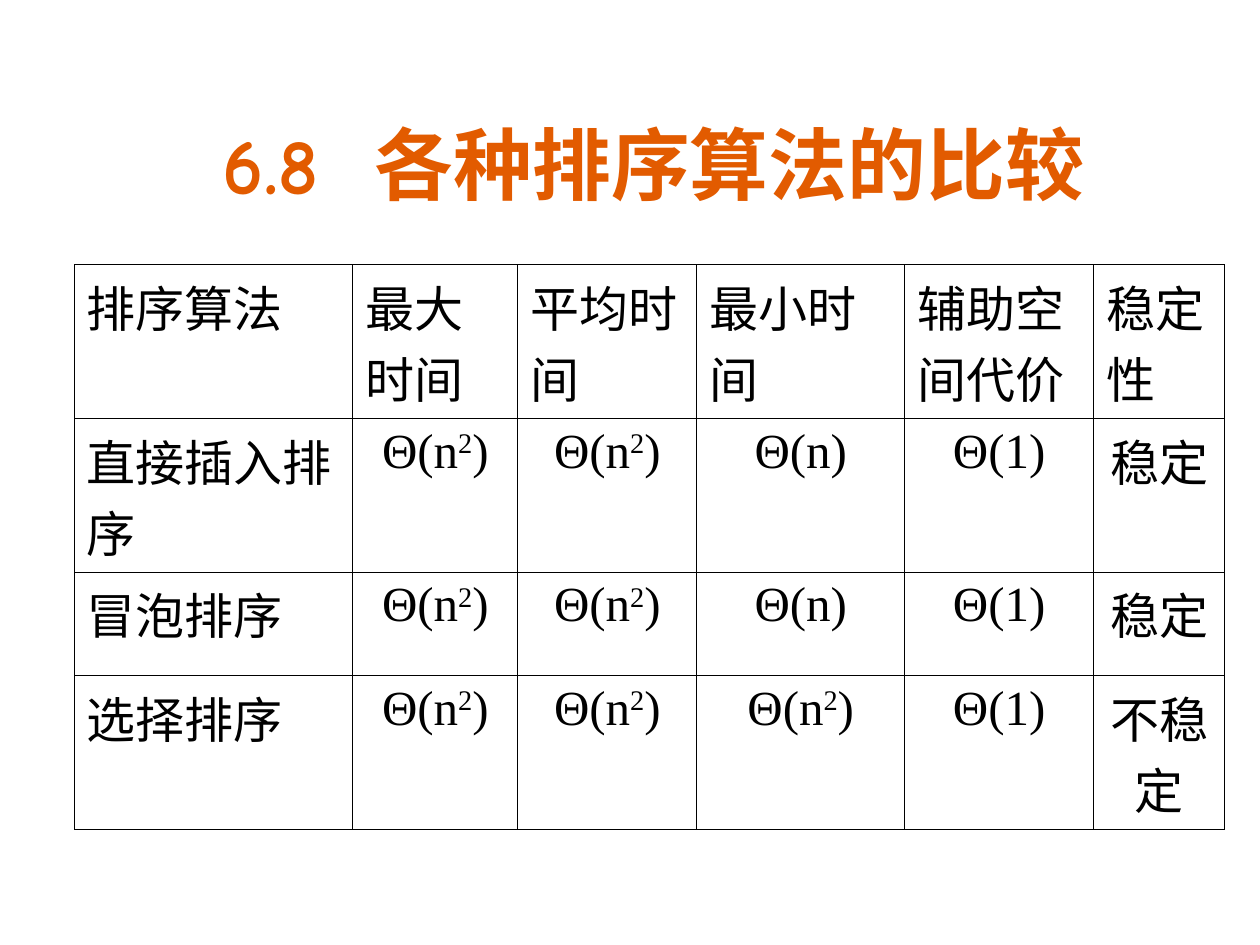
"""Build a slide with a table comparing sorting algorithms."""
from lxml import etree
from pptx import Presentation
from pptx.dml.color import RGBColor
from pptx.enum.text import MSO_ANCHOR, PP_ALIGN
from pptx.oxml.ns import qn
from pptx.util import Inches, Pt

LEFT, CENTER = PP_ALIGN.LEFT, PP_ALIGN.CENTER
BOTTOM = MSO_ANCHOR.BOTTOM
COLUMN_WIDTHS = [2.21, 1.31, 1.42, 1.65, 1.5, 1.04]
ROW_HEIGHTS = [1.22, 1.22, 0.82, 1.22]
ROWS = [
    ["排序算法", "最大时间", "平均时间", "最小时间", "辅助空间代价", "稳定性"],
    ["直接插入排序", "Θ(n^2)", "Θ(n^2)", "Θ(n)", "Θ(1)", "稳定"],
    ["冒泡排序", "Θ(n^2)", "Θ(n^2)", "Θ(n)", "Θ(1)", "稳定"],
    ["选择排序", "Θ(n^2)", "Θ(n^2)", "Θ(n^2)", "Θ(1)", "不稳定"],
]


def style_font(font, name, size, color, bold=False):
    font.name, font.size, font.bold = name, Pt(size), bold
    font.color.rgb = RGBColor.from_string(color)


def add_borders(cell, color, width):
    properties = cell._tc.get_or_add_tcPr()
    for position, side in enumerate(["a:lnL", "a:lnR", "a:lnT", "a:lnB"]):
        line = etree.Element(qn(side), w=str(Pt(width)))
        fill = etree.SubElement(line, qn("a:solidFill"))
        etree.SubElement(fill, qn("a:srgbClr"), val=color)
        properties.insert(position, line)


presentation = Presentation()
presentation.slide_width, presentation.slide_height = Inches(10), Inches(7.5)
slide = presentation.slides.add_slide(presentation.slide_layouts[6])

title = slide.shapes.add_textbox(Inches(0.55), Inches(0.47), Inches(9.27), Inches(1.25))
title_frame = title.text_frame
title_frame.word_wrap = True
title_frame.vertical_anchor = BOTTOM
paragraph = title_frame.paragraphs[0]
paragraph.text = "6.8  各种排序算法的比较"
paragraph.alignment = CENTER
style_font(paragraph.font, "Comic Neue", 45, "E25B00", bold=True)

table = slide.shapes.add_table(
    len(ROWS), len(COLUMN_WIDTHS), Inches(0.59), Inches(2.1),
    Inches(sum(COLUMN_WIDTHS)), Inches(sum(ROW_HEIGHTS))).table
table.first_row = table.horz_banding = False
for column, width in zip(table.columns, COLUMN_WIDTHS):
    column.width = Inches(width)
for row, height in zip(table.rows, ROW_HEIGHTS):
    row.height = Inches(height)

for row_index, texts in enumerate(ROWS):
    for column_index, text in enumerate(texts):
        cell = table.cell(row_index, column_index)
        cell.fill.background()
        add_borders(cell, "000000", 0.45)
        paragraph = cell.text_frame.paragraphs[0]
        paragraph.alignment = CENTER if row_index and column_index else LEFT
        style_font(paragraph.font, "Times New Roman", 28, "000000")
        base, caret, rest = text.partition("^")
        paragraph.add_run().text = base
        if caret:
            exponent = paragraph.add_run()
            exponent.text = rest[0]
            exponent.font._element.set("baseline", "30000")
            paragraph.add_run().text = rest[1:]

presentation.save("out.pptx")
